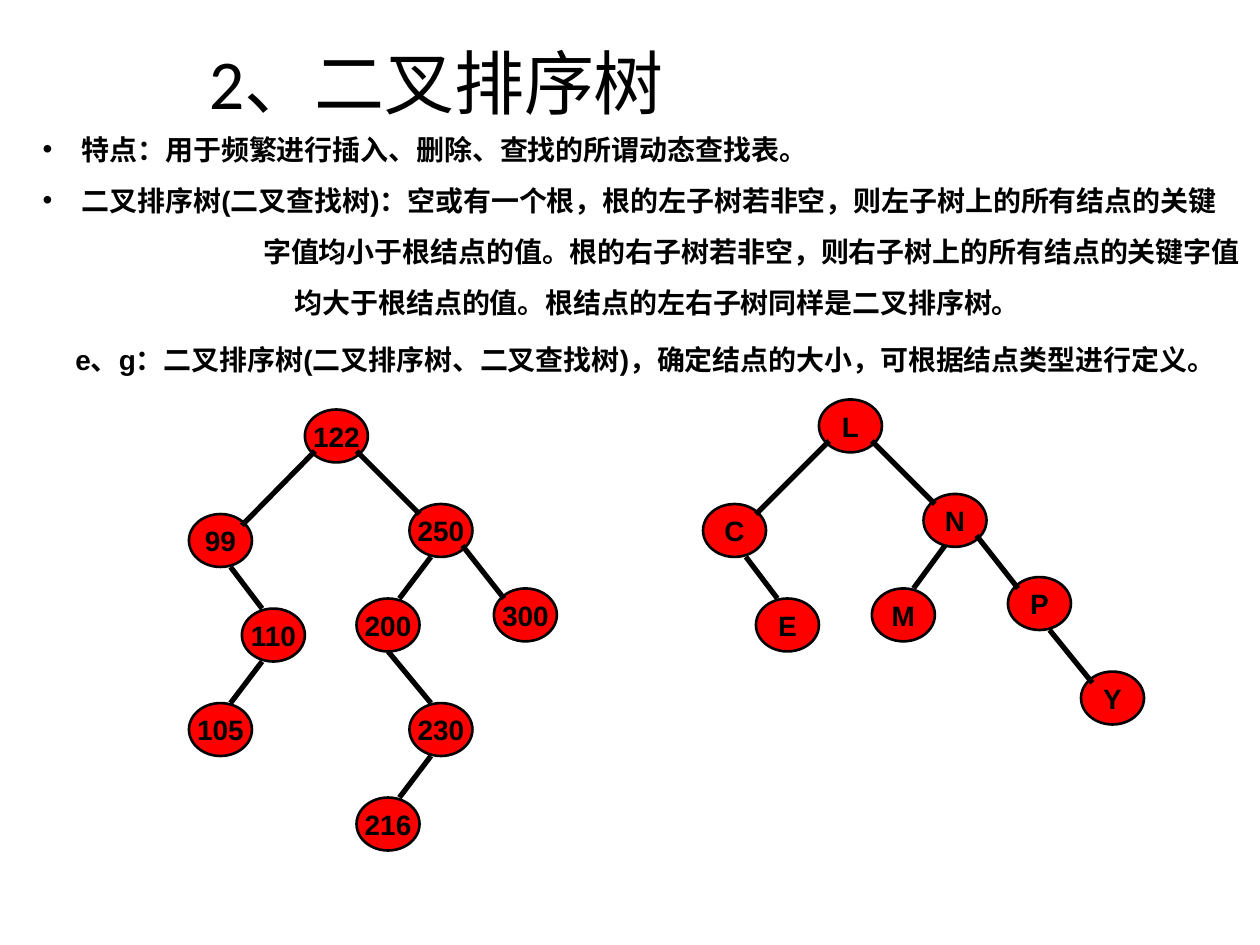
from lxml.etree import SubElement
from pptx import Presentation
from pptx.dml.color import RGBColor
from pptx.enum.shapes import MSO_CONNECTOR, MSO_SHAPE
from pptx.enum.text import MSO_ANCHOR, PP_ALIGN
from pptx.oxml.ns import qn
from pptx.util import Inches, Pt

BLACK = RGBColor(0, 0, 0)
RED = RGBColor(255, 0, 0)

TITLE = "2、二叉排序树"
DEFINITIONS = [
    ("特点：用于频繁进行插入、删除、查找的所谓动态查找表。", 0.56, True),
    ("二叉排序树(二叉查找树)：空或有一个根，根的左子树若非空，则左子树上的所有结点的关键", 0.56, True),
    ("字值均小于根结点的值。根的右子树若非空，则右子树上的所有结点的关键字值", 2.0, False),
    ("均大于根结点的值。根结点的左右子树同样是二叉排序树。", 2.25, False),
]
EXAMPLE = "e、g：二叉排序树(二叉排序树、二叉查找树)，确定结点的大小，可根据结点类型进行定义。"

GRID = 1 / 12
NODE_WIDTH, NODE_HEIGHT = 6, 5
NODES = {
    "122": (29, 39), "99": (18, 49), "250": (39, 48), "110": (23, 58),
    "200": (34, 57), "300": (47, 56), "105": (18, 67), "230": (39, 67),
    "216": (34, 76),
    "L": (78, 38), "C": (67, 48), "N": (88, 47), "E": (72, 57),
    "M": (83, 56), "P": (96, 55), "Y": (103, 64),
}
LOWER_LEFT, LOWER_RIGHT = (1, 4), (5, 4)
UPPER_LEFT, UPPER_RIGHT = (1, 1), (5, 1)
BOTTOM_LEFT, BOTTOM, BOTTOM_RIGHT = (2, 5), (3, 5), (4, 5)
TOP_LEFT, TOP_RIGHT = (2, 0), (4, 0)
EDGES = [
    ("122", LOWER_LEFT, "99", UPPER_RIGHT),
    ("122", LOWER_RIGHT, "250", UPPER_LEFT),
    ("250", LOWER_RIGHT, "300", UPPER_LEFT),
    ("250", BOTTOM_LEFT, "200", TOP_RIGHT),
    ("99", BOTTOM_RIGHT, "110", TOP_LEFT),
    ("110", BOTTOM_LEFT, "105", TOP_RIGHT),
    ("200", BOTTOM, "230", TOP_LEFT),
    ("230", BOTTOM_LEFT, "216", TOP_RIGHT),
    ("L", LOWER_LEFT, "C", UPPER_RIGHT),
    ("L", LOWER_RIGHT, "N", UPPER_LEFT),
    ("N", LOWER_RIGHT, "P", UPPER_LEFT),
    ("N", BOTTOM_LEFT, "M", TOP_RIGHT),
    ("C", BOTTOM_RIGHT, "E", TOP_LEFT),
    ("P", BOTTOM_RIGHT, "Y", UPPER_LEFT),
]


def grid(units):
    return Inches(round(units * GRID, 2))


def add_run(paragraph, text, size=16, font="Arial", bold=True):
    run = paragraph.add_run()
    run.text = text
    run.font.size = Pt(size)
    run.font.name = font
    run.font.bold = bold
    run.font.color.rgb = BLACK


def add_text_box(slide, left, top, width, height, wrap=True):
    box = slide.shapes.add_textbox(Inches(left), Inches(top), Inches(width), Inches(height))
    box.text_frame.word_wrap = wrap
    return box.text_frame


def add_definitions(slide):
    frame = add_text_box(slide, -0.01, 1, 10.05, 1.59, wrap=False)
    for index, (text, margin, bulleted) in enumerate(DEFINITIONS):
        paragraph = frame.add_paragraph() if index else frame.paragraphs[0]
        properties = paragraph._p.get_or_add_pPr()
        properties.set("marL", str(Inches(margin)))
        properties.set("indent", str(Inches(-0.31) if bulleted else 0))
        if index:
            paragraph.space_before = Pt(10)
        if bulleted:
            SubElement(properties, qn("a:buFont"), typeface="Arial")
            SubElement(properties, qn("a:buChar"), char="•")
        add_run(paragraph, text)


def add_node(slide, label, column, row):
    node = slide.shapes.add_shape(
        MSO_SHAPE.OVAL, grid(column), grid(row), grid(NODE_WIDTH), grid(NODE_HEIGHT))
    node.shadow.inherit = False
    node.fill.solid()
    node.fill.fore_color.rgb = RED
    node.line.color.rgb = BLACK
    node.line.width = Pt(1.5)
    frame = node.text_frame
    frame.word_wrap = False
    frame.vertical_anchor = MSO_ANCHOR.MIDDLE
    frame.paragraphs[0].alignment = PP_ALIGN.CENTER
    add_run(frame.paragraphs[0], label)


def add_edge(slide, parent, parent_anchor, child, child_anchor):
    start = [grid(a + b) for a, b in zip(NODES[parent], parent_anchor)]
    end = [grid(a + b) for a, b in zip(NODES[child], child_anchor)]
    edge = slide.shapes.add_connector(MSO_CONNECTOR.STRAIGHT, *start, *end)
    edge.line.color.rgb = BLACK
    edge.line.width = Pt(3)
    SubElement(edge._element.spPr, qn("a:effectLst"))


def main():
    presentation = Presentation()
    presentation.slide_width = Inches(10)
    presentation.slide_height = Inches(7.5)
    slide = presentation.slides.add_slide(presentation.slide_layouts[6])

    title = add_text_box(slide, 1.56, 0.32, 7.55, 0.74)
    title.vertical_anchor = MSO_ANCHOR.MIDDLE
    title.paragraphs[0].line_spacing = 0.9
    add_run(title.paragraphs[0], TITLE, size=40, font="Calibri", bold=False)

    add_definitions(slide)
    example = add_text_box(slide, 0.5, 2.67, 9.5, 0.37)
    add_run(example.paragraphs[0], EXAMPLE)

    for label, (column, row) in NODES.items():
        add_node(slide, label, column, row)
    for edge in EDGES:
        add_edge(slide, *edge)
    presentation.save("out.pptx")


if __name__ == "__main__":
    main()
